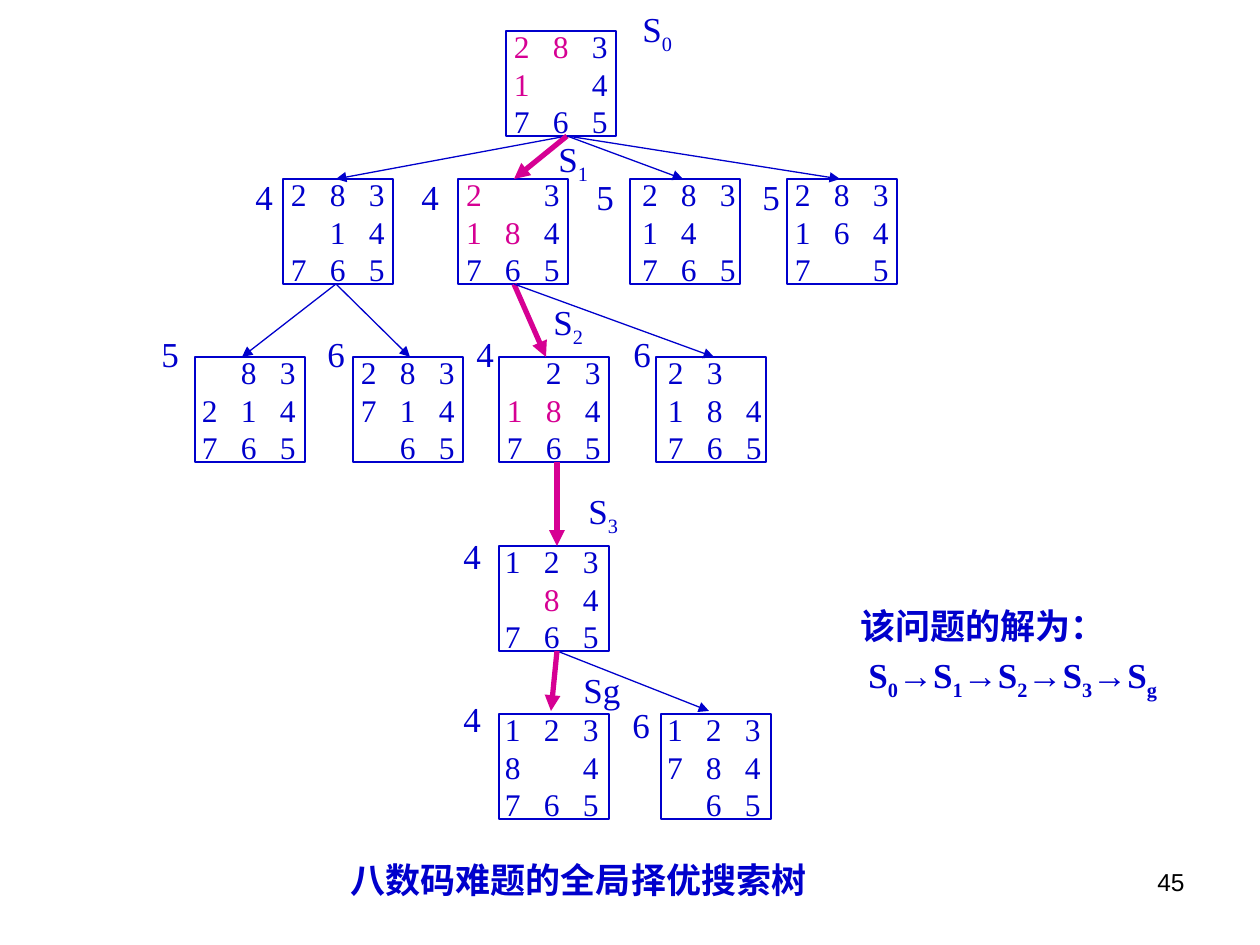
from lxml import etree
from pptx import Presentation
from pptx.dml.color import RGBColor
from pptx.enum.shapes import MSO_CONNECTOR, MSO_SHAPE
from pptx.enum.text import MSO_ANCHOR, MSO_AUTO_SIZE, PP_ALIGN
from pptx.oxml.ns import qn
from pptx.util import Emu, Pt

RECTANGLE, STRAIGHT = MSO_SHAPE.RECTANGLE, MSO_CONNECTOR.STRAIGHT
TOP, MIDDLE = MSO_ANCHOR.TOP, MSO_ANCHOR.MIDDLE
LEFT, RIGHT = PP_ALIGN.LEFT, PP_ALIGN.RIGHT
NO_AUTOSIZE = MSO_AUTO_SIZE.NONE

PX_PER_INCH = 126
BLUE, PINK, BLACK = "0000CC", "D60093", "000000"
SERIF, SANS = "Times New Roman", "Arial"
BOARD_WIDTH, BOARD_HEIGHT, COLUMN_STEP = 110, 105, 39

BOARDS = [
    (506, 31, 8, ("283", "1 4", "765"), "281"),
    (283, 179, 8, ("283", " 14", "765"), ""),
    (458, 179, 8, ("2 3", "184", "765"), "218"),
    (630, 179, 12, ("283", "14", "765"), ""),
    (787, 179, 8, ("283", "164", "7 5"), ""),
    (195, 357, 7, (" 83", "214", "765"), ""),
    (353, 357, 8, ("283", "714", " 65"), ""),
    (499, 357, 8, (" 23", "184", "765"), "18"),
    (656, 357, 12, ("23", "184", "765"), ""),
    (499, 546, 6, ("123", " 84", "765"), "8"),
    (499, 714, 6, ("123", "8 4", "765"), ""),
    (661, 714, 6, ("123", "784", " 65"), ""),
]
BRANCHES = [
    ((567, 136), [(336, 179, False), (514, 179, True), (683, 179, False), (840, 179, False)]),
    ((336, 284), [(242, 357, False), (410, 357, False)]),
    ((514, 284), [(546, 357, True), (714, 357, False)]),
    ((557, 462), [(557, 546, True)]),
    ((557, 651), [(709, 711, False), (551, 711, True)]),
]
LABELS = [
    ("4", 243, 168), ("4", 409, 168), ("5", 584, 168), ("5", 750, 168),
    ("5", 149, 325), ("6", 315, 325), ("4", 464, 325), ("6", 621, 325),
    ("4", 451, 527), ("4", 451, 690), ("6", 620, 696),
    ("S_0", 630, 6), ("S_1", 546, 136), ("S_2", 541, 299),
    ("S_3", 576, 488), ("Sg", 571, 661),
]


def px(length):
    """Turn px into EMU."""
    return Emu(round(length * 914400 / PX_PER_INCH))


def color(value):
    """Turn a hex string into a colour."""
    return RGBColor.from_string(value)


def style(font, size, value=BLUE, name=SERIF, bold=False):
    """Set the look of a font."""
    font.size, font.name, font.bold = Pt(size), name, bold
    font.color.rgb = color(value)


def place(shape, left, top, width, height):
    """Move a shape to a box and prepare its text frame."""
    shape.left, shape.top, shape.width, shape.height = map(px, (left, top, width, height))
    frame = shape.text_frame
    frame.word_wrap, frame.auto_size = True, NO_AUTOSIZE
    frame.vertical_anchor = TOP
    return frame


def add_text_box(slide, left, top, width, height):
    """Add a text box and return its text frame."""
    shape = slide.shapes.add_textbox(0, 0, 0, 0)
    return place(shape, left, top, width, height)


def write_subscripted(paragraph, text, bold=False):
    """Write text in which the character after each underscore is lowered."""
    paragraph.line_spacing = Pt(24.5)
    first, *others = text.split("_")
    pieces = [(first, False)]
    for part in others:
        pieces += [(part[0], True), (part[1:], False)]
    for piece, lowered in pieces:
        if piece:
            run = paragraph.add_run()
            run.text = piece
            style(run.font, 20, bold=bold)
            if lowered:
                run.font._element.set("baseline", "-25000")


def add_board(slide, left, top, inset, rows, moved):
    """Draw one puzzle state, with its moved tiles in pink."""
    shape = slide.shapes.add_shape(RECTANGLE, 0, 0, 0, 0)
    shape.shadow.inherit = False
    shape.fill.background()
    shape.line.color.rgb = color(BLUE)
    shape.line.width = Pt(0.75)
    frame = place(shape, left, top, BOARD_WIDTH, BOARD_HEIGHT)
    frame.vertical_anchor = MIDDLE
    frame.margin_left = px(inset)
    frame.margin_right = frame.margin_top = frame.margin_bottom = 0
    for index, row in enumerate(rows):
        paragraph = frame.add_paragraph() if index else frame.paragraphs[0]
        tabs = etree.SubElement(paragraph._p.get_or_add_pPr(), qn("a:tabLst"))
        for column in (1, 2):
            etree.SubElement(tabs, qn("a:tab"), pos=str(px(column * COLUMN_STEP)), algn="l")
        paragraph.alignment = LEFT
        paragraph.line_spacing = Pt(21.5)
        for column, tile in enumerate(row):
            text = ("\t" if column else "") + tile.strip()
            if text:
                run = paragraph.add_run()
                run.text = text
                style(run.font, 18, PINK if tile in moved else BLUE)


def add_arrow(slide, start, end, on_path):
    """Draw an arrow, thick and pink on the solution path."""
    arrow = slide.shapes.add_connector(STRAIGHT, *map(px, start + end))
    arrow.line.color.rgb = color(PINK if on_path else BLUE)
    arrow.line.width = Pt(3 if on_path else 0.75)
    etree.SubElement(arrow.line._get_or_add_ln(), qn("a:tailEnd"), type="triangle")
    etree.SubElement(arrow._element.spPr, qn("a:effectLst"))


def add_tree(slide):
    """Draw the boards, arrows and labels of the search tree."""
    for board in BOARDS:
        add_board(slide, *board)
    for start, ends in BRANCHES:
        for x, y, on_path in ends:
            add_arrow(slide, start, (x, y), on_path)
    for text, left, top in LABELS:
        frame = add_text_box(slide, left, top, 64, 55)
        write_subscripted(frame.paragraphs[0], text)


def add_solution(slide, left, top, width, height):
    """Write the solution path."""
    frame = add_text_box(slide, left, top, width, height)
    write_subscripted(frame.paragraphs[0], "该问题的解为：", bold=True)
    path = frame.add_paragraph()
    path._p.get_or_add_pPr().set("marL", str(px(8)))
    path.space_before = Pt(7)
    write_subscripted(path, "S_0→S_1→S_2→S_3→S_g", bold=True)


def add_title(slide, left, top, width, height):
    """Write the slide title under the tree."""
    paragraph = place(slide.shapes.title, left, top, width, height).paragraphs[0]
    paragraph.alignment = LEFT
    write_subscripted(paragraph, "八数码难题的全局择优搜索树", bold=True)


def add_page_number(slide, left, top, width, height):
    """Write the page number."""
    paragraph = add_text_box(slide, left, top, width, height).paragraphs[0]
    paragraph.text = "45"
    paragraph.alignment = RIGHT
    style(paragraph.runs[0].font, 14, BLACK, SANS)


def main():
    """Build and save the slide."""
    presentation = Presentation()
    presentation.slide_width, presentation.slide_height = px(1260), px(945)
    slide = presentation.slides.add_slide(presentation.slide_layouts[5])
    add_tree(slide)
    add_title(slide, 338, 851, 491, 55)
    add_solution(slide, 848, 597, 343, 121)
    add_page_number(slide, 903, 861, 294, 66)
    presentation.save("out.pptx")


if __name__ == "__main__":
    main()
